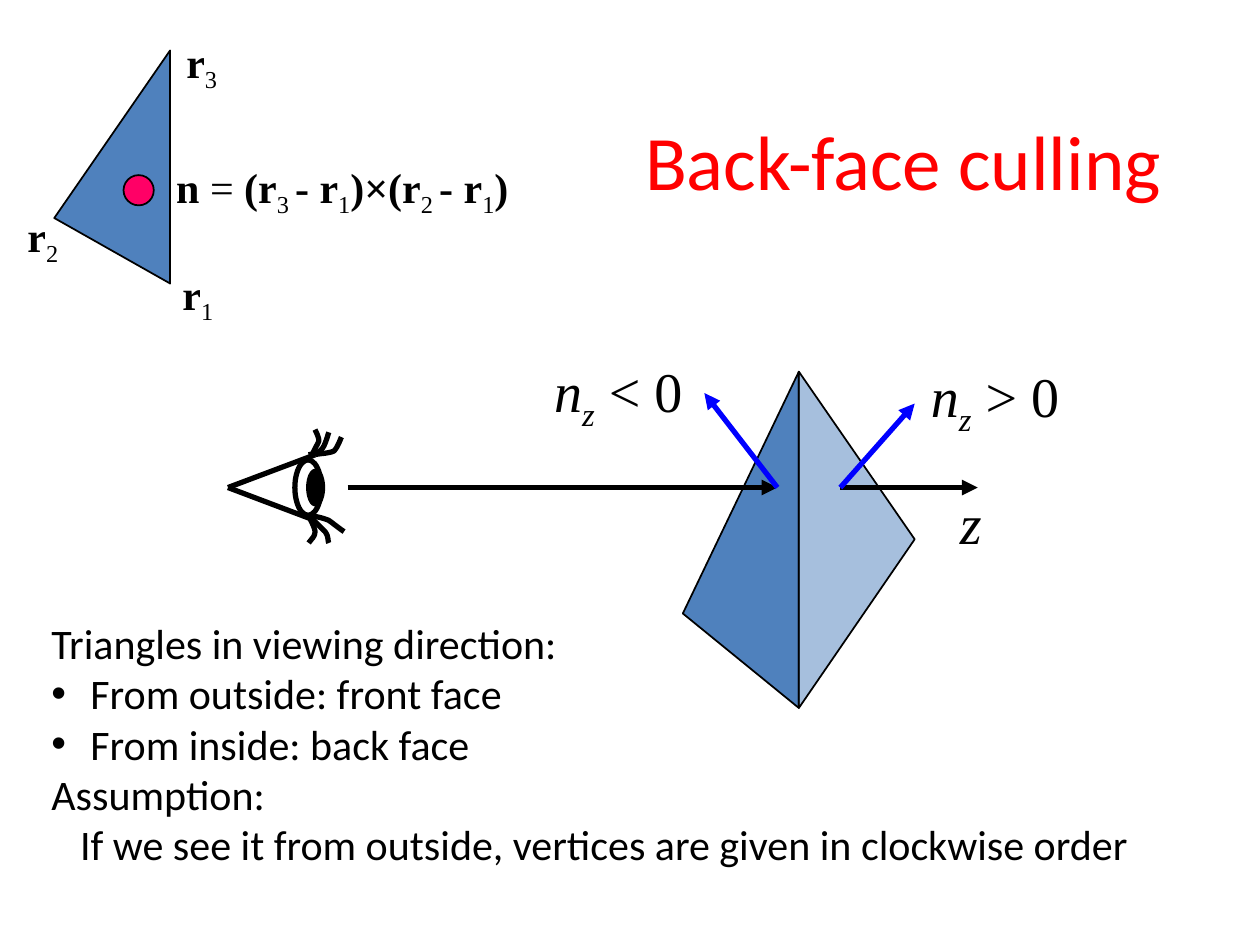
from pptx import Presentation
from pptx.dml.color import RGBColor
from pptx.enum.shapes import MSO_CONNECTOR as Connector, MSO_SHAPE as Shape
from pptx.enum.text import MSO_ANCHOR as Anchor, MSO_AUTO_SIZE as AutoSize, PP_ALIGN as Align
from pptx.oxml.ns import qn
from pptx.util import Pt
from lxml.etree import SubElement

COLORS = {"black": "000000", "white": "FFFFFF", "red": "FF0000", "blue": "0000FF",
          "face": "4F81BD", "pink": "FF0066"}
SERIF, SANS = "Times New Roman", "Calibri"
STYLES = {
    "plain": {},
    "bold": {"bold": True},
    "italic": {"italic": True},
    "sub": {"baseline": "-25000"},
    "italic sub": {"italic": True, "baseline": "-25000"},
}


def bezier_points(controls, steps=8):
    """Return points along a chain of cubic curves."""
    points = [controls[0]]
    for first in range(0, len(controls) - 1, 3):
        a, b, c, d = controls[first:first + 4]
        for step in range(1, steps + 1):
            t = step / steps
            u = 1 - t
            points.append(tuple(
                u ** 3 * a[i] + 3 * u * u * t * b[i] + 3 * u * t * t * c[i] + t ** 3 * d[i]
                for i in (0, 1)))
    return points


class Canvas:
    """Draws styled elements on the current slide, in points."""

    def __init__(self, slide):
        self.slide = slide
        self.shapes = slide.shapes

    def group(self):
        self.shapes = self.slide.shapes.add_group_shape().shapes

    def ungroup(self):
        self.shapes = self.slide.shapes

    def color(self, name):
        return RGBColor.from_string(COLORS[name])

    def paint(self, shape, fill, width, alpha=None):
        shape.shadow.inherit = False
        if fill:
            shape.fill.solid()
            shape.fill.fore_color.rgb = self.color(fill)
        else:
            shape.fill.background()
        if alpha:
            element = shape._element.spPr.find(".//" + qn("a:srgbClr"))
            SubElement(element, qn("a:alpha"), val=str(alpha * 1000))
        shape.line.color.rgb = self.color("black")
        shape.line.width = Pt(width)

    def outline(self, points, fill=None, width=1, alpha=None):
        corners = [(Pt(x), Pt(y)) for x, y in points]
        builder = self.shapes.build_freeform(*corners[0], scale=1.0)
        builder.add_line_segments(corners[1:], close=fill is not None)
        self.paint(builder.convert_to_shape(), fill, width, alpha)

    def ellipse(self, box, fill, width):
        shape = self.shapes.add_shape(Shape.OVAL, *map(Pt, box))
        self.paint(shape, fill, width)

    def line(self, start, end, color="black", arrow=True):
        connector = self.shapes.add_connector(Connector.STRAIGHT, *map(Pt, start + end))
        connector.line.color.rgb = self.color(color)
        connector.line.width = Pt(3)
        if arrow:
            SubElement(connector.line._get_or_add_ln(), qn("a:tailEnd"), type="triangle")
        SubElement(connector._element.spPr, qn("a:effectLst"))

    def text(self, box, paragraphs, font=SERIF, size=24, color="black", frame=None, align=Align.LEFT):
        text_frame = self.shapes.add_textbox(*map(Pt, box)).text_frame
        settings = {"word_wrap": False, "auto_size": AutoSize.SHAPE_TO_FIT_TEXT}
        for name, value in {**settings, **(frame or {})}.items():
            setattr(text_frame, name, value)
        for index, (runs, layout) in enumerate(paragraphs):
            paragraph = text_frame.add_paragraph() if index else text_frame.paragraphs[0]
            paragraph.alignment = align
            properties = paragraph._p.get_or_add_pPr()
            for name in ("marL", "indent"):
                if name in layout:
                    properties.set(name, str(Pt(layout[name])))
            if "bullet" in layout:
                SubElement(properties, qn("a:buFont"), typeface="Arial")
                SubElement(properties, qn("a:buChar"), char=layout["bullet"])
            for words, style in runs:
                run = paragraph.add_run()
                run.text = words
                run.font.color.rgb = self.color(color)
                for name, value in {"name": font, "size": Pt(size), **STYLES[style]}.items():
                    if name == "baseline":
                        run.font._element.set(name, value)
                    else:
                        setattr(run.font, name, value)

    def formula(self, box, *runs, size=24):
        self.text(box, [(runs, {})], size=size)


def draw_faces(canvas):
    top, bottom = (456.5, 212.4), (456.5, 404.6)
    canvas.outline([(390.2, 350.6), top, bottom], "face")
    canvas.outline([bottom, (522.7, 308.2), top], "face", alpha=50)
    axis, front, back = 278.6, 444.2, 480.2
    canvas.line((198.7, axis), (front, axis))
    canvas.line((back, axis), (558.7, axis))
    canvas.line((back, axis), (522.7, 230.6), "blue")
    canvas.line((front, axis), (402.5, 224.6), "blue")
    for left, top, relation in ((524.9, 203, " > 0"), (309.6, 200.2, " < 0")):
        canvas.formula((left, top, 88.6, 45.4), ("n", "italic"), ("z", "italic sub"),
                       (relation, "plain"), size=32)
    canvas.formula((541.4, 275.8, 27.4, 45.4), ("z", "italic"), size=32)


def draw_triangle(canvas):
    canvas.outline([(31, 124.6), (97.2, 28.8), (97.2, 162)], "face")
    for left, top, number in ((97.2, 149.8, "1"), (99.4, 17.3, "3"), (8.6, 116.6, "2")):
        canvas.formula((left, top, 33.1, 36), ("r", "bold"), (number, "sub"))
    canvas.ellipse((70.6, 100.1, 17.3, 17.3), "pink", 1)
    canvas.formula((93.6, 88.6, 208.8, 36), ("n ", "bold"), ("=", "plain"),
                   (" (r", "bold"), ("3 ", "sub"), ("- r", "bold"), ("1", "sub"),
                   (")×(r", "bold"), ("2 ", "sub"), ("- r", "bold"), ("1", "sub"), (")", "bold"))


def draw_eye(canvas):
    canvas.group()
    for lid in (259.9, 297.4):
        canvas.line((130.3, 278.6), (180, lid), arrow=False)
    canvas.ellipse((168.5, 262.8, 15.1, 31.7), "white", 3)
    canvas.ellipse((176.4, 269.3, 7.9, 18.7), "black", 3)
    lashes = (
        ((176.4, 259.9), (179.3, 259.2), (182.2, 258.5), (183.6, 257), (185.8, 254.9), (187.2, 249.1), (187.9, 247)),
        ((180, 259.9), (182.2, 259.2), (187.9, 259.2), (190.8, 257.8), (193, 255.6), (194.4, 251.3), (195.1, 249.8)),
        ((176.4, 294.5), (180.7, 295.2), (184.3, 295.9), (187.9, 297.4), (190.8, 299.5), (194.4, 302.4), (196.6, 303.8)),
        ((176.4, 294.5), (177.8, 295.9), (183.6, 301.7), (185.8, 303.8), (187.9, 306.7), (187.2, 308.9), (187.9, 310.3)),
        ((176.4, 294.5), (177.8, 298.1), (180, 301.7), (180, 303.8), (180, 306.7), (177.8, 308.2), (176.4, 310.3)),
        ((178.6, 259.9), (178.6, 258.5), (181.4, 254.2), (182.2, 252), (182.2, 249.8), (180.7, 247), (180, 245.5)),
    )
    for lash in lashes:
        canvas.outline(bezier_points(lash), width=3)
    canvas.ungroup()


def main():
    presentation = Presentation()
    presentation.slide_width, presentation.slide_height = Pt(720), Pt(540)
    canvas = Canvas(presentation.slides.add_slide(presentation.slide_layouts[6]))
    canvas.text((331.9, 46.1, 368.6, 90), [([("Back-face culling", "plain")], {})], SANS, 44, "red",
                {"word_wrap": True, "auto_size": AutoSize.NONE, "vertical_anchor": Anchor.MIDDLE},
                Align.CENTER)
    draw_faces(canvas)
    bullet = {"marL": 22.3, "indent": -22.3, "bullet": "•"}
    notes = (("Triangles in viewing direction:", {}),
             ("From outside: front face", bullet),
             ("From inside: back face", bullet),
             ("Assumption:", {}),
             ("If we see it from outside, vertices are given in clockwise order", {"marL": 16.4}))
    canvas.text((22.3, 349.2, 743.8, 152.6),
                [([(words, "plain")], layout) for words, layout in notes], SANS)
    draw_triangle(canvas)
    draw_eye(canvas)
    presentation.save("out.pptx")


if __name__ == "__main__":
    main()
